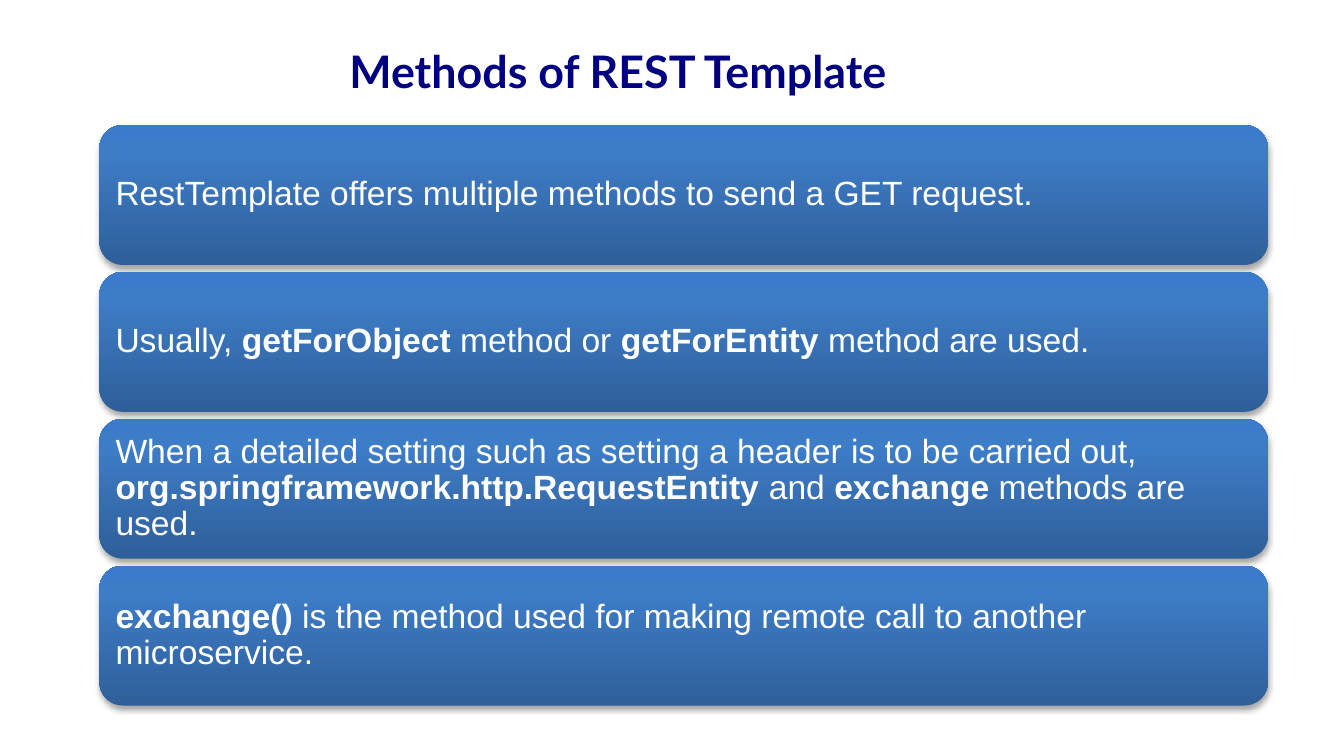
import pptx
import pptx.dml.color
import pptx.enum.shapes
import pptx.enum.text
import pptx.oxml
import pptx.oxml.ns
import pptx.util

Pt = pptx.util.Pt
RGBColor = pptx.dml.color.RGBColor
Align = pptx.enum.text.PP_ALIGN
Anchor = pptx.enum.text.MSO_ANCHOR
qn = pptx.oxml.ns.qn

NAVY = RGBColor(0x00, 0x00, 0x80)
WHITE = RGBColor(0xFF, 0xFF, 0xFF)
CARD_STOPS = [
    (0, RGBColor(0x2F, 0x5F, 0x99)),
    (80, RGBColor(0x3D, 0x7C, 0xC7)),
    (100, RGBColor(0x3A, 0x7C, 0xCB)),
]

TITLE_FONT = {"name": "Lato", "size": Pt(24), "bold": True}
CARD_FONT = {"name": "Arial", "size": Pt(18)}
CARD_FRAME = {
    "word_wrap": True,
    "vertical_anchor": Anchor.MIDDLE,
    "margin_left": Pt(5),
    "margin_right": Pt(5),
    "margin_top": Pt(5),
    "margin_bottom": Pt(5),
}
TITLE_FRAME = {
    "word_wrap": True,
    "vertical_anchor": Anchor.TOP,
    "auto_size": pptx.enum.text.MSO_AUTO_SIZE.NONE,
}

# Each statement is a list of (text, bold) pieces
STATEMENTS = [
    [("RestTemplate offers multiple methods to send a GET request.", False)],
    [("Usually, ", False), ("getForObject", True), (" method or ", False),
     ("getForEntity", True), (" method are used.", False)],
    [("When a detailed setting such as setting a header is to be carried out, ", False),
     ("org.springframework.http.RequestEntity ", True), ("and ", False),
     ("exchange ", True), ("methods are used.", False)],
    [("exchange()", True),
     (" is the method used for making remote call to another microservice.", False)],
]


def set_all(target, values):
    for name, value in values.items():
        setattr(target, name, value)


def add_title(slide, text, left, top, width, height):
    title = slide.shapes.title
    set_all(title, {"left": left, "top": top, "width": width, "height": height})
    frame = title.text_frame
    frame.text = text
    set_all(frame, TITLE_FRAME)
    paragraph = frame.paragraphs[0]
    paragraph.alignment = Align.LEFT
    set_all(paragraph.runs[0].font, TITLE_FONT)
    paragraph.runs[0].font.color.rgb = NAVY


def paint_card(card):
    # Gradient rising from dark to light
    card.fill.gradient()
    card.fill.gradient_angle = 90
    properties = card._element.spPr
    stops = properties.find(qn("a:gradFill")).find(qn("a:gsLst"))
    stops.clear()
    namespace = pptx.oxml.ns.nsdecls("a")
    for position, color in CARD_STOPS:
        stops.append(pptx.oxml.parse_xml(
            f'<a:gs {namespace} pos="{position * 1000}"><a:srgbClr val="{color}"/></a:gs>'))
    card.line.fill.background()

    # Soft shadow below
    card.shadow.inherit = False
    properties.find(qn("a:effectLst")).append(pptx.oxml.parse_xml(
        f'<a:outerShdw {namespace} blurRad="{Pt(3.1)}" dist="{Pt(1.8)}" dir="5400000" '
        'rotWithShape="0"><a:srgbClr val="000000"><a:alpha val="35000"/></a:srgbClr>'
        '</a:outerShdw>'))


def add_card(slide, statement, left, top, width, height):
    card = slide.shapes.add_shape(
        pptx.enum.shapes.MSO_SHAPE.ROUNDED_RECTANGLE, left, top, width, height)
    paint_card(card)
    set_all(card.text_frame, CARD_FRAME)
    paragraph = card.text_frame.paragraphs[0]
    set_all(paragraph, {"alignment": Align.LEFT, "line_spacing": 0.9})
    for text, bold in statement:
        piece = paragraph.add_run()
        piece.text = text
        set_all(piece.font, {**CARD_FONT, "bold": bold})
        piece.font.color.rgb = WHITE


def add_card_stack(slide, statements, left, top, width, height, gap):
    card_height = int((height - gap * (len(statements) - 1)) / len(statements))
    for row, statement in enumerate(statements):
        add_card(slide, statement, left, top + row * (card_height + gap),
                 width, card_height)


def main():
    deck = pptx.Presentation()
    set_all(deck, {"slide_width": Pt(720), "slide_height": Pt(405)})
    slide = deck.slides.add_slide(deck.slide_layouts.get_by_name("Title Only"))
    add_title(slide, "Methods of REST Template", Pt(180), Pt(20), Pt(360), Pt(36))
    add_card_stack(slide, STATEMENTS, Pt(53.25), Pt(67), Pt(626), Pt(311), Pt(3.75))
    deck.save("out.pptx")


if __name__ == "__main__":
    main()
